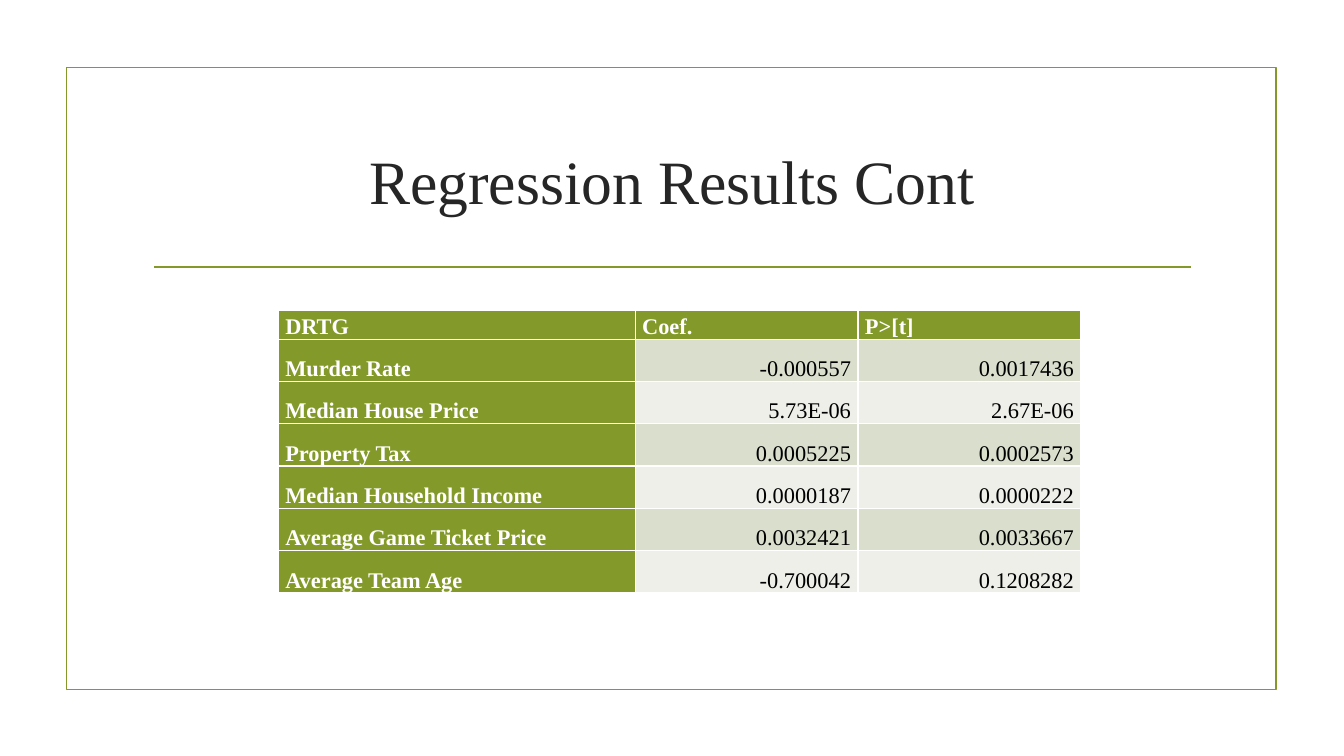
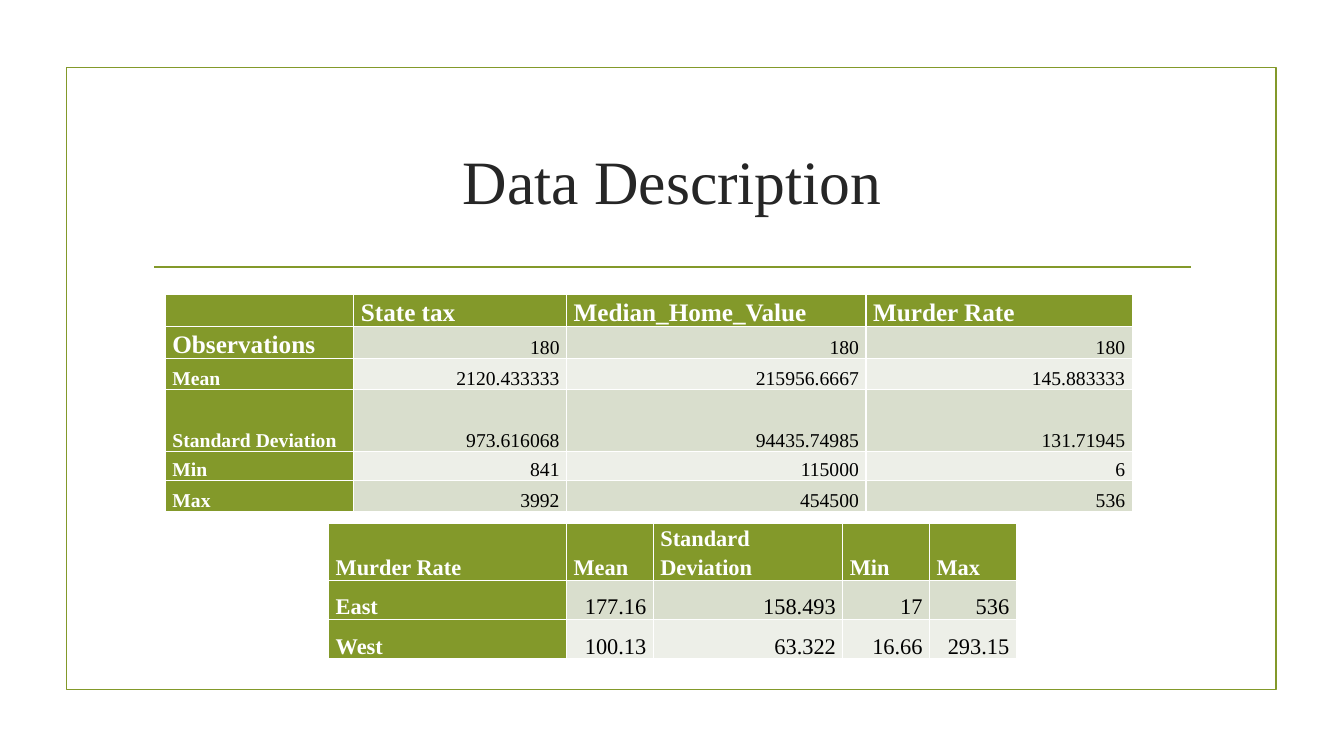
from lxml import etree
from pptx import Presentation
from pptx.dml.color import RGBColor
from pptx.enum.shapes import MSO_CONNECTOR, MSO_SHAPE
from pptx.enum.text import MSO_ANCHOR, PP_ALIGN
from pptx.oxml.ns import qn
from pptx.util import Inches, Pt

GREEN = RGBColor(0x83, 0x99, 0x2A)
BAND_DARK = RGBColor(0xD9, 0xDE, 0xCD)
BAND_LIGHT = RGBColor(0xED, 0xEF, 0xE8)
TITLE_GREY = RGBColor(0x26, 0x26, 0x26)
WHITE = RGBColor(0xFF, 0xFF, 0xFF)
BLACK = RGBColor(0, 0, 0)
FONT = "Times New Roman"
LEFT, CENTER, RIGHT = PP_ALIGN.LEFT, PP_ALIGN.CENTER, PP_ALIGN.RIGHT
MIDDLE, BOTTOM = MSO_ANCHOR.MIDDLE, MSO_ANCHOR.BOTTOM
RECTANGLE, STRAIGHT = MSO_SHAPE.RECTANGLE, MSO_CONNECTOR.STRAIGHT
TITLE_ONLY = 5

# "sizes" gives the text size of the header, row labels and values;
# "exceptions" lists row labels with a size of their own.
REGRESSION = {
    "at": (2.76, 3.08),
    "columns": [3.54, 2.21, 2.21],
    "heights": [0.28] + [0.42] * 6,
    "sizes": (16, 16, 16),
    "exceptions": {},
    "rows": [
        ("DRTG", "Coef.", "P>[t]"),
        ("Murder Rate", "-0.000557", "0.0017436"),
        ("Median House Price", "5.73E-06", "2.67E-06"),
        ("Property Tax", "0.0005225", "0.0002573"),
        ("Median Household Income", "0.0000187", "0.0000222"),
        ("Average Game Ticket Price", "0.0032421", "0.0033667"),
        ("Average Team Age", "-0.700042", "0.1208282"),
    ],
}
SUMMARY = {
    "at": (1.64, 2.92),
    "columns": [1.87, 2.11, 2.97, 2.64],
    "heights": [0.31, 0.31, 0.31, 0.61, 0.29, 0.31],
    "sizes": (18, 14, 14),
    "exceptions": {"Observations": 18},
    "rows": [
        ("", "State tax", "Median_Home_Value", "Murder Rate"),
        ("Observations", "180", "180", "180"),
        ("Mean", "2120.433333", "215956.6667", "145.883333"),
        ("Standard Deviation", "973.616068", "94435.74985", "131.71945"),
        ("Min", "841", "115000", "6"),
        ("Max", "3992", "454500", "536"),
    ],
}
MURDER_BY_REGION = {
    "at": (3.26, 5.19),
    "columns": [2.36, 0.86, 1.88, 0.86, 0.86],
    "heights": [0.56, 0.39, 0.39],
    "sizes": (16, 16, 16),
    "exceptions": {},
    "rows": [
        ("Murder Rate", "Mean", "Standard Deviation", "Min", "Max"),
        ("East", "177.16", "158.493", "17", "536"),
        ("West", "100.13", "63.322", "16.66", "293.15"),
    ],
}
SLIDES = [
    ("Regression Results Cont", [REGRESSION]),
    ("Data Description", [SUMMARY, MURDER_BY_REGION]),
]


def set_font(paragraph, size, color, bold=False):
    font = paragraph.font
    font.name, font.size, font.bold = FONT, Pt(size), bold
    font.color.rgb = color


def move_decor_to_layout(slide):
    """Draw the frame and title rule, then hand them to the shared layout."""
    frame = slide.shapes.add_shape(
        RECTANGLE, Inches(0.66), Inches(0.67), Inches(12), Inches(6.17))
    frame.fill.background()
    frame.shadow.inherit = False
    rule = slide.shapes.add_connector(
        STRAIGHT, Inches(1.53), Inches(2.65), Inches(11.81), Inches(2.65))
    for outline in (frame, rule):
        outline.line.color.rgb = GREEN
        outline.line.width = Pt(1.25)
    etree.SubElement(rule.element.spPr, qn("a:effectLst"))
    for outline in (frame, rule):
        slide.slide_layout.shapes.element.append(outline.element)


def add_title(slide, text):
    title = slide.shapes.title
    title.left, title.top = Inches(1.42), Inches(1.07)
    title.width, title.height = Inches(10.5), Inches(1.43)
    title.text_frame.text = text
    title.text_frame.vertical_anchor = MIDDLE
    paragraph = title.text_frame.paragraphs[0]
    paragraph.alignment = CENTER
    set_font(paragraph, 44, TITLE_GREY)


def fill_cell(cell, text, size, fill, is_heading, align):
    cell.fill.solid()
    cell.fill.fore_color.rgb = fill
    cell.vertical_anchor = BOTTOM
    cell.margin_left = cell.margin_right = Inches(0.07)
    cell.margin_top = cell.margin_bottom = 0
    cell.text = text
    paragraph = cell.text_frame.paragraphs[0]
    paragraph.alignment = align
    paragraph.line_spacing = 1.15
    set_font(paragraph, size, WHITE if is_heading else BLACK, is_heading)


def add_data_table(slide, data):
    rows, widths, heights = data["rows"], data["columns"], data["heights"]
    left, top = data["at"]
    table = slide.shapes.add_table(
        len(rows), len(widths), Inches(left), Inches(top),
        Inches(sum(widths)), Inches(sum(heights))).table
    table.first_col = True
    for column, width in zip(table.columns, widths):
        column.width = Inches(width)
    for row, height in zip(table.rows, heights):
        row.height = Inches(height)

    header_size, label_size, value_size = data["sizes"]
    for r, texts in enumerate(rows):
        band = BAND_DARK if r % 2 else BAND_LIGHT
        for c, text in enumerate(texts):
            cell = table.cell(r, c)
            if r == 0:
                fill_cell(cell, text, header_size, GREEN, True, LEFT)
            elif c == 0:
                size = data["exceptions"].get(text, label_size)
                fill_cell(cell, text, size, GREEN, True, LEFT)
            else:
                fill_cell(cell, text, value_size, band, False, RIGHT)


def main():
    deck = Presentation()
    deck.slide_width, deck.slide_height = Inches(13.33), Inches(7.5)
    layout = deck.slide_layouts[TITLE_ONLY]
    for number, (title, tables) in enumerate(SLIDES):
        slide = deck.slides.add_slide(layout)
        if number == 0:
            move_decor_to_layout(slide)
        add_title(slide, title)
        for data in tables:
            add_data_table(slide, data)
    deck.save("out.pptx")


if __name__ == "__main__":
    main()
